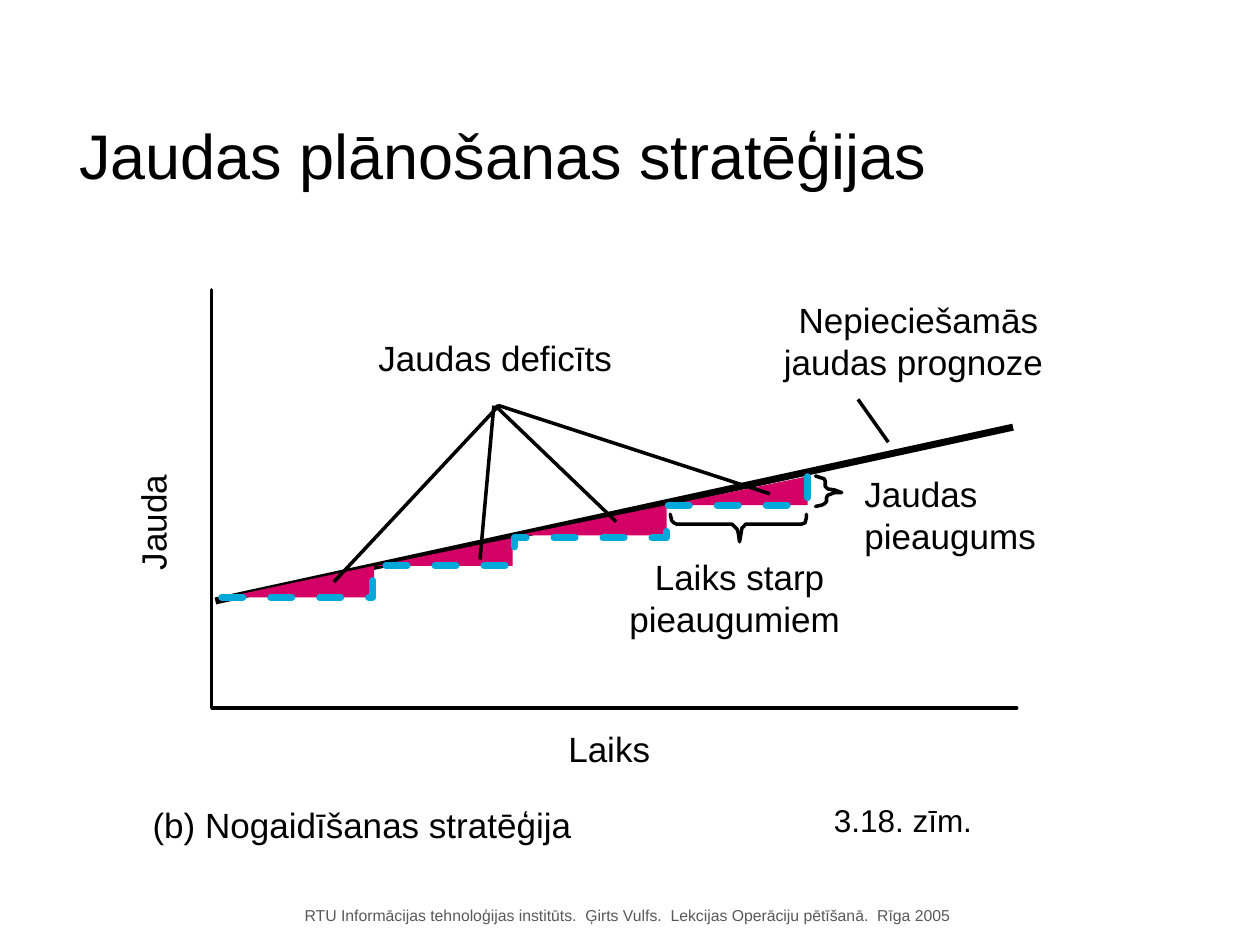
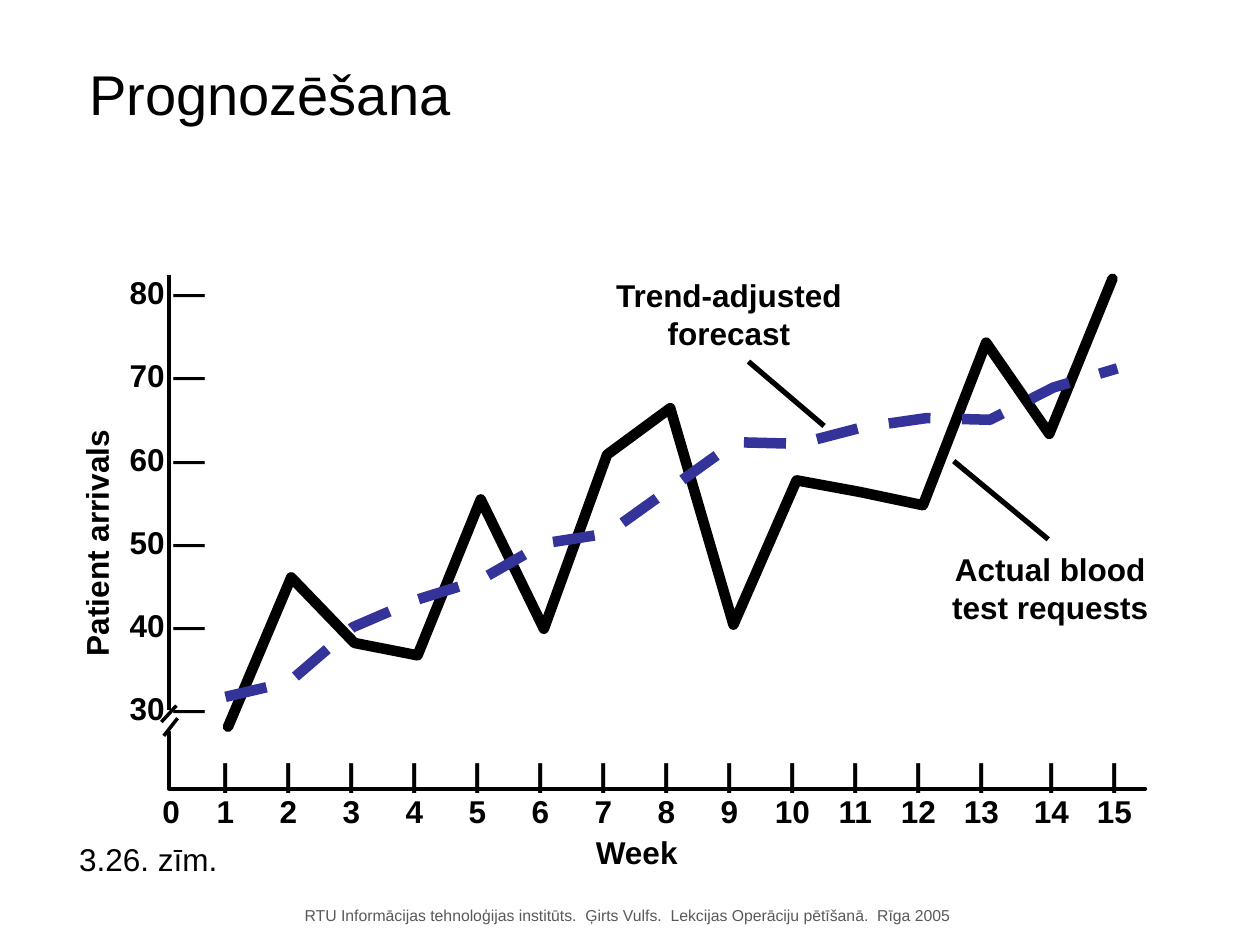
from dataclasses import dataclass

from lxml import etree
from pptx import Presentation
from pptx.dml.color import RGBColor
from pptx.enum import dml, text
from pptx.oxml import ns
from pptx.util import Pt


@dataclass(frozen=True)
class Theme:
    font: str = "Arial"
    ink: str = "000000"
    footer_grey: str = "595959"
    deficit: str = "D30066"
    capacity: str = "00A9DA"
    forecast: str = "333399"
    title: int = 36
    short_title: int = 32
    label: int = 20
    small_label: int = 18
    footer: int = 9
    wide_inset: tuple = (12.96, 6.48)
    inset: tuple = (7.2, 3.6)


THEME = Theme()
FOOTER = ("RTU Informācijas tehnoloģijas institūts.  Ģirts Vulfs.  "
          "Lekcijas Operāciju pētīšanā.  Rīga 2005")


class Deck:
    def __init__(self, theme):
        self.theme = theme
        self.prs = Presentation()
        self.prs.slide_width, self.prs.slide_height = Pt(720), Pt(540)
        self.slide = None

    def new_slide(self):
        self.slide = self.prs.slides.add_slide(self.prs.slide_layouts[6])
        self.text(FOOTER, (167, 514, 384, 18), self.theme.footer,
                  color=self.theme.footer_grey, wrap=False)

    def title(self, words, left, top, size):
        self.text(words, (left, top, 502, 106), size, grow=False,
                  anchor=text.MSO_ANCHOR.MIDDLE)

    def text(self, words, box, size, color=None, bold=False, wrap=True, grow=True,
             centred=False, anchor=text.MSO_ANCHOR.TOP, inset=None, rotation=0,
             spacing=None, tabs=()):
        """Place text, one paragraph a line; tabs are centred stops in points."""
        holder = self.slide.shapes.add_textbox(*map(Pt, box))
        holder.rotation = rotation
        side, edge = map(Pt, inset or self.theme.inset)
        frame = holder.text_frame
        fit = text.MSO_AUTO_SIZE
        frame_format = {
            "margin_left": side, "margin_right": side,
            "margin_top": edge, "margin_bottom": edge,
            "word_wrap": wrap, "vertical_anchor": anchor,
            "auto_size": fit.SHAPE_TO_FIT_TEXT if grow else fit.NONE,
        }
        for name, value in frame_format.items():
            setattr(frame, name, value)
        font_format = {"name": self.theme.font, "size": Pt(size), "bold": bold}
        for number, line in enumerate(words.split("\n")):
            paragraph = frame.add_paragraph() if number else frame.paragraphs[0]
            if tabs:
                self.add_tabs(paragraph, tabs)
            paragraph.alignment = text.PP_ALIGN.CENTER if centred else text.PP_ALIGN.LEFT
            if spacing:
                paragraph.line_spacing = spacing
            run = paragraph.add_run()
            run.text = line
            for name, value in font_format.items():
                setattr(run.font, name, value)
            run.font.color.rgb = RGBColor.from_string(color or self.theme.ink)

    @staticmethod
    def add_tabs(paragraph, stops):
        properties = paragraph._p.get_or_add_pPr()
        tab_list = etree.SubElement(properties, ns.qn("a:tabLst"))
        for stop in stops:
            etree.SubElement(tab_list, ns.qn("a:tab"), pos=str(Pt(stop)), algn="ctr")

    def stroke(self, shape, width, color=None, dashed=False, round_cap=False):
        shape.line.color.rgb = RGBColor.from_string(color or self.theme.ink)
        shape.line.width = Pt(width)
        if dashed:
            shape.line.dash_style = dml.MSO_LINE.DASH
        ln = shape._element.spPr.find(ns.qn("a:ln"))
        ln.set("cap", "rnd" if round_cap else "flat")
        etree.SubElement(ln, ns.qn("a:round"))

    def line(self, start, end, width=2, **style):
        connector = self.slide.shapes.add_connector(1, *map(Pt, (*start, *end)))
        self.stroke(connector, width, **style)
        etree.SubElement(connector._element.spPr, ns.qn("a:effectLst"))

    def outline(self, points, closed):
        points = [(Pt(x), Pt(y)) for x, y in points]
        builder = self.slide.shapes.build_freeform(*points[0])
        builder.add_line_segments(points[1:], close=closed)
        shape = builder.convert_to_shape()
        shape.shadow.inherit = False
        return shape

    def polyline(self, points, width=2, **style):
        shape = self.outline(points, closed=False)
        shape.fill.background()
        self.stroke(shape, width, **style)

    def polygon(self, points, color):
        shape = self.outline(points, closed=True)
        shape.fill.solid()
        shape.fill.fore_color.rgb = RGBColor.from_string(color)
        shape.line.fill.background()


def capacity_strategy(deck):
    theme = deck.theme
    deck.new_slide()

    increase_brace = [
        (466, 272), (469, 273), (471, 273.6), (471.6, 275), (471.6, 278),
        (473, 279.4), (477, 280), (481, 281.5), (477, 281.5), (473, 283),
        (472.3, 284.4), (472.3, 286.6), (471, 288), (469.4, 288.7), (466, 289.4)]
    interval_brace = [
        (383, 293.8), (383.8, 297.4), (385.2, 298.8), (386.6, 299.5),
        (418.3, 299.5), (419.8, 301), (421.2, 302.4), (421.9, 304.6),
        (422.6, 309.6), (423.4, 305.3), (424, 301.7), (424.8, 301),
        (426.2, 299.5), (458, 299.5), (460, 298.8), (460.8, 295.9), (460.8, 293.8)]
    for brace in (increase_brace, interval_brace):
        deck.polyline(brace, round_cap=True)

    deck.line((490.3, 228.2), (507.6, 252.7))
    deck.line((123.1, 343.4), (578.9, 244.1), width=4)
    deck.polyline([(121, 165.6), (121, 404.6), (581, 404.6)], round_cap=True)

    wide = {"inset": theme.wide_inset}
    deck.text("Laiks starp pieaugumiem ", (334.8, 311, 175.7, 60.5), theme.label,
              centred=True, **wide)
    deck.text("Jaudas pieaugums", (481, 263.5, 137.5, 60.5), theme.label, **wide)
    deck.text("Laiks", (311.8, 409, 78, 36.7), theme.label, wrap=False, **wide)
    deck.text("Jauda", (52.6, 283, 69.1, 31), theme.label, wrap=False, rotation=270)

    deficits = [(381.6, 288.7, 461.5, 272.2), (295.2, 306, 380.9, 288.7),
                (215.3, 323.3, 293, 307.4), (128.9, 341.3, 213.8, 323.3)]
    for left, bottom, right, top in deficits:
        deck.polygon([(left, bottom), (right, bottom), (right, top)], theme.deficit)

    capacity_steps = [(126.7, 341.3)]
    for right, top in [(213.1, 323.3), (293.8, 307.4), (380.9, 288.7), (461.5, 272.2)]:
        capacity_steps += [(right, capacity_steps[-1][1]), (right, top)]
    deck.polyline(capacity_steps, width=4, color=theme.capacity, dashed=True,
                  round_cap=True)

    deck.polyline([(190.8, 332.6), (285.1, 231.8), (439.9, 282.2)])
    deck.line((352.1, 298.1), (283, 231.8))
    deck.line((274.3, 319.7), (282.2, 231.8))

    deck.text("Nepieciešamās jaudas prognoze ", (422.6, 164.2, 204.5, 60.5),
              theme.label, centred=True, **wide)
    deck.text("(b) Nogaidīšanas stratēģija", (74.2, 452.9, 275, 36.7), theme.label,
              wrap=False, **wide)
    deck.text("Jaudas deficīts ", (180, 185.8, 211.7, 36.7), theme.label,
              centred=True, **wide)
    deck.title("Jaudas plānošanas stratēģijas", 38.2, 35.3, theme.title)
    deck.text("3.18. zīm.", (469.4, 454.3, 93.6, 28.8), theme.small_label, wrap=False)


def forecasting(deck):
    theme = deck.theme
    deck.new_slide()
    bold = {"size": theme.small_label, "bold": True}

    weeks = range(1, 16)
    week_stops = [36 * week + (4 if week > 13 else 0) for week in weeks]
    week_ticks = "\t|" * len(weeks)
    week_numbers = "\t".join(map(str, range(16)))
    deck.text(f"{week_ticks}\n{week_numbers}", (85.7, 427.7, 583.9, 50.4),
              tabs=week_stops, **bold)

    deck.line((96.5, 157), (96.5, 406))
    deck.line((92.2, 412.6), (100.8, 403.2))
    arrivals_scale = "\n".join(f"{value} —" for value in range(80, 20, -10))
    deck.text(arrivals_scale, (67, 126.7, 57.6, 292.3), wrap=False, spacing=2.2, **bold)
    deck.text("Patient arrivals", (-16.6, 295.9, 143.3, 28.8), wrap=False,
              rotation=270, **bold)
    deck.polyline([(96.5, 418.3), (96.5, 450.7), (654.5, 450.7)], round_cap=True)
    deck.line((93.6, 420.5), (101.5, 410.4))
    deck.text("Week", (333.4, 472.3, 61.2, 28.8), wrap=False, **bold)

    actual = [28.1, 46.1, 38.2, 36.7, 55.5, 39.9, 60.9, 66.5, 40.4, 57.8, 56.4,
              54.8, 74.4, 63.4, 82.1]
    forecast = [31.7, 33.5, 40.1, 43.4, 45.8, 50.2, 51.4, 56.9, 62.4, 62.2, 64.2,
                65.3, 65.1, 69, 71.3]

    def weekly_points(arrivals, first_x, step):
        return [(first_x + step * week, 406.3 - 4.74 * (value - 30))
                for week, value in enumerate(arrivals)]

    deck.polyline(weekly_points(actual, 130.3, 36.1), width=6, round_cap=True)
    deck.polyline(weekly_points(forecast, 128.9, 36.4), width=6,
                  color=theme.forecast, dashed=True)

    deck.text("Trend-adjusted forecast", (341.3, 154.1, 150.5, 50.4), centred=True,
              **bold)
    deck.text("Actual blood test requests", (535.7, 311, 128.9, 50.4), centred=True,
              **bold)
    deck.line((427.7, 206.6), (470.9, 243.4), width=3)
    deck.line((545, 263.5), (599, 308.2), width=3)
    deck.title("Prognozēšana", 43.9, 0, theme.short_title)
    deck.text("3.26. zīm.", (38.2, 476.6, 93.6, 28.8), theme.small_label, wrap=False)


def main():
    deck = Deck(THEME)
    capacity_strategy(deck)
    forecasting(deck)
    deck.prs.save("out.pptx")


if __name__ == "__main__":
    main()
